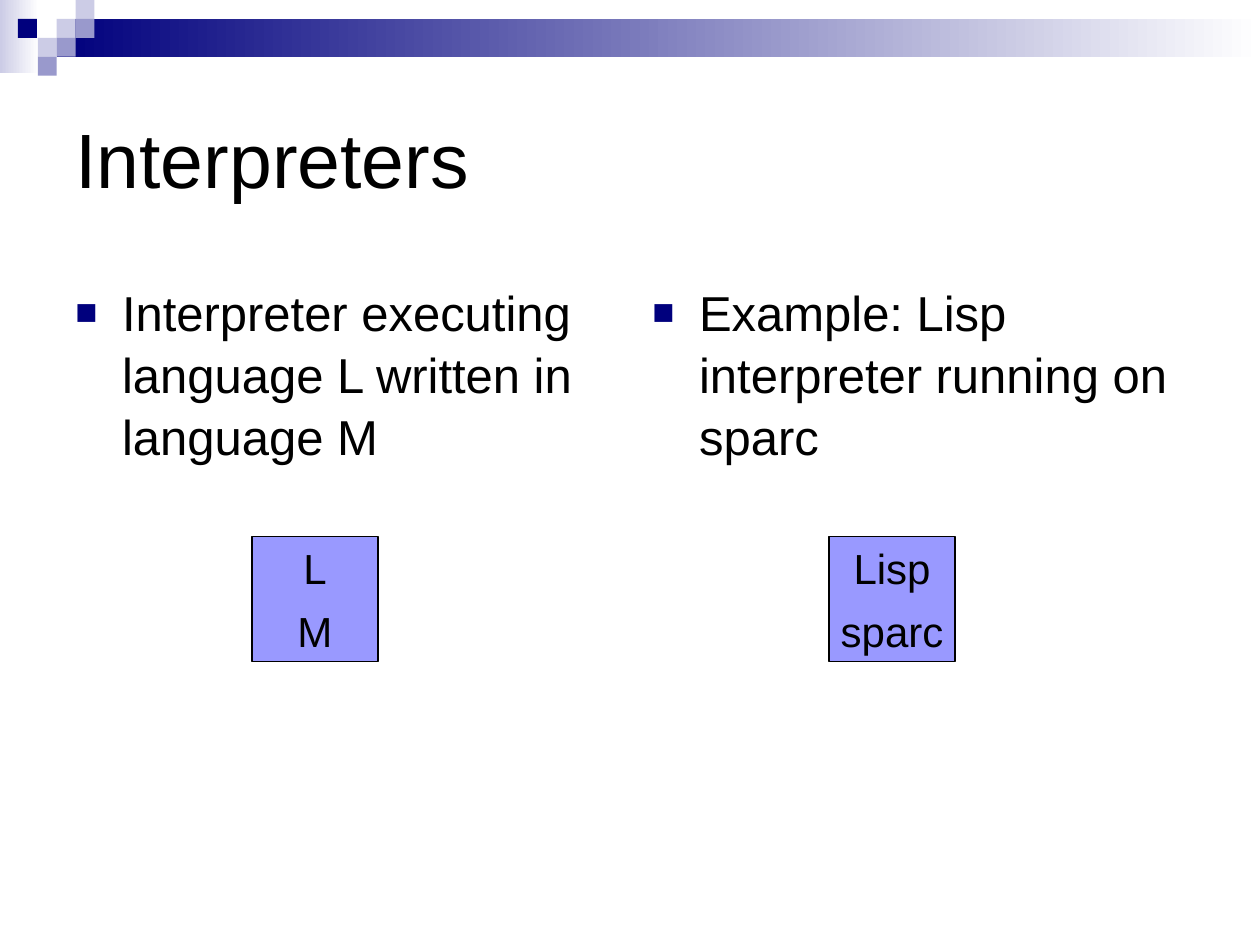
from dataclasses import dataclass

from lxml import etree
from pptx import Presentation
from pptx.dml.color import RGBColor
from pptx.enum.shapes import MSO_SHAPE
from pptx.enum.text import MSO_ANCHOR, PP_ALIGN
from pptx.oxml.ns import qn
from pptx.util import Inches, Pt

RECTANGLE = MSO_SHAPE.RECTANGLE
MIDDLE, TOP = MSO_ANCHOR.MIDDLE, MSO_ANCHOR.TOP
CENTER, LEFT = PP_ALIGN.CENTER, PP_ALIGN.LEFT


@dataclass(frozen=True)
class Theme:
    font: str = "Arial"
    title_size: int = 44
    body_size: int = 28
    cell_size: int = 24
    text: str = "000000"
    white: str = "FFFFFF"
    navy: str = "00007D"
    muted: str = "9999CC"
    pale: str = "CCCCE6"
    cell: str = "9999FF"


THEME = Theme()
WIDTH, HEIGHT = 10, 7.5

TITLE = "Interpreters"
COLUMNS = [
    ("Interpreter executing language L written in language M", ["L", "M"]),
    ("Example: Lisp interpreter running on sparc", ["Lisp", "sparc"]),
]

# Header decoration on a square grid: column, row, colour
UNIT = 0.15
SQUARES = [
    (3, 1, THEME.pale),
    (4, 0, THEME.pale),
    (4, 1, THEME.muted),
    (2, 2, THEME.pale),
    (0.95, 1, THEME.navy),
    (3, 2, THEME.muted),
    (2, 3, THEME.muted),
]

MARGIN, GUTTER = 0.5, 0.16
COLUMN_WIDTH = (WIDTH - 2 * MARGIN - GUTTER) / 2
BODY_TOP, BODY_HEIGHT = 2.17, 4.25
STACK_INDENT, STACK_TOP = 1.5, 4.26
CELL_WIDTH, CELL_HEIGHT = 1, 0.495
BULLET_INDENT = 0.37


def color(value):
    return RGBColor.from_string(value)


def add_rectangle(slide, left, top, width, height, fill=None, fade=False):
    """Add a rectangle: plain, fading to white at the right, or unfilled."""
    shape = slide.shapes.add_shape(
        RECTANGLE, Inches(left), Inches(top), Inches(width), Inches(height))
    shape.shadow.inherit = False
    shape.line.fill.background()
    if fill is None:
        shape.fill.background()
    elif fade:
        shape.fill.gradient()
        shape.fill.gradient_angle = 0
        for stop, stop_color in zip(shape.fill.gradient_stops, (fill, THEME.white)):
            stop.color.rgb = color(stop_color)
    else:
        shape.fill.solid()
        shape.fill.fore_color.rgb = color(fill)
    return shape


def add_bullet(paragraph):
    properties = paragraph._p.get_or_add_pPr()
    properties.set("marL", str(Inches(BULLET_INDENT)))
    properties.set("indent", str(-Inches(BULLET_INDENT)))
    bullet_color = etree.SubElement(properties, qn("a:buClr"))
    etree.SubElement(bullet_color, qn("a:srgbClr"), val=THEME.navy)
    etree.SubElement(properties, qn("a:buSzPct"), val="75000")
    etree.SubElement(properties, qn("a:buFont"), typeface=THEME.font)
    etree.SubElement(properties, qn("a:buChar"), char="■")


def write(shape, text, size, anchor=TOP, align=LEFT, wrap=True, bullet=False):
    frame = shape.text_frame
    frame.word_wrap = wrap
    frame.vertical_anchor = anchor
    paragraph = frame.paragraphs[0]
    paragraph.text = text
    paragraph.alignment = align
    if bullet:
        add_bullet(paragraph)
        paragraph.line_spacing = 1.05
    paragraph.font.name = THEME.font
    paragraph.font.size = Pt(size)
    paragraph.font.color.rgb = color(THEME.text)


def add_text(slide, left, top, width, height, text, size, **style):
    box = slide.shapes.add_textbox(
        Inches(left), Inches(top), Inches(width), Inches(height))
    write(box, text, size, **style)


def add_header(slide):
    add_rectangle(slide, 0, 0, 0.31, 0.58, THEME.pale, fade=True)
    add_rectangle(slide, 3 * UNIT, UNIT, WIDTH - 3 * UNIT, 2 * UNIT,
                  THEME.navy, fade=True)
    for column, row, fill in SQUARES:
        add_rectangle(slide, column * UNIT, row * UNIT, UNIT, UNIT, fill)


def add_stack(slide, left, labels):
    """Stack labelled cells inside one outline."""
    for row, label in enumerate(labels):
        cell = add_rectangle(slide, left, STACK_TOP + row * CELL_HEIGHT,
                             CELL_WIDTH, CELL_HEIGHT, THEME.cell)
        write(cell, label, THEME.cell_size, MIDDLE, CENTER, wrap=False)
    outline = add_rectangle(slide, left, STACK_TOP, CELL_WIDTH,
                            len(labels) * CELL_HEIGHT)
    outline.line.color.rgb = color(THEME.text)
    outline.line.width = Pt(0.75)


def main():
    presentation = Presentation()
    presentation.slide_width = Inches(WIDTH)
    presentation.slide_height = Inches(HEIGHT)
    slide = presentation.slides.add_slide(presentation.slide_layouts[6])
    add_header(slide)
    add_text(slide, MARGIN, 0.5, WIDTH - 2 * MARGIN, 1.5, TITLE,
             THEME.title_size, anchor=MIDDLE)
    for index, (text, labels) in enumerate(COLUMNS):
        left = MARGIN + index * (COLUMN_WIDTH + GUTTER)
        add_text(slide, left, BODY_TOP, COLUMN_WIDTH, BODY_HEIGHT, text,
                 THEME.body_size, bullet=True)
        add_stack(slide, left + STACK_INDENT, labels)
    presentation.save("out.pptx")


if __name__ == "__main__":
    main()
